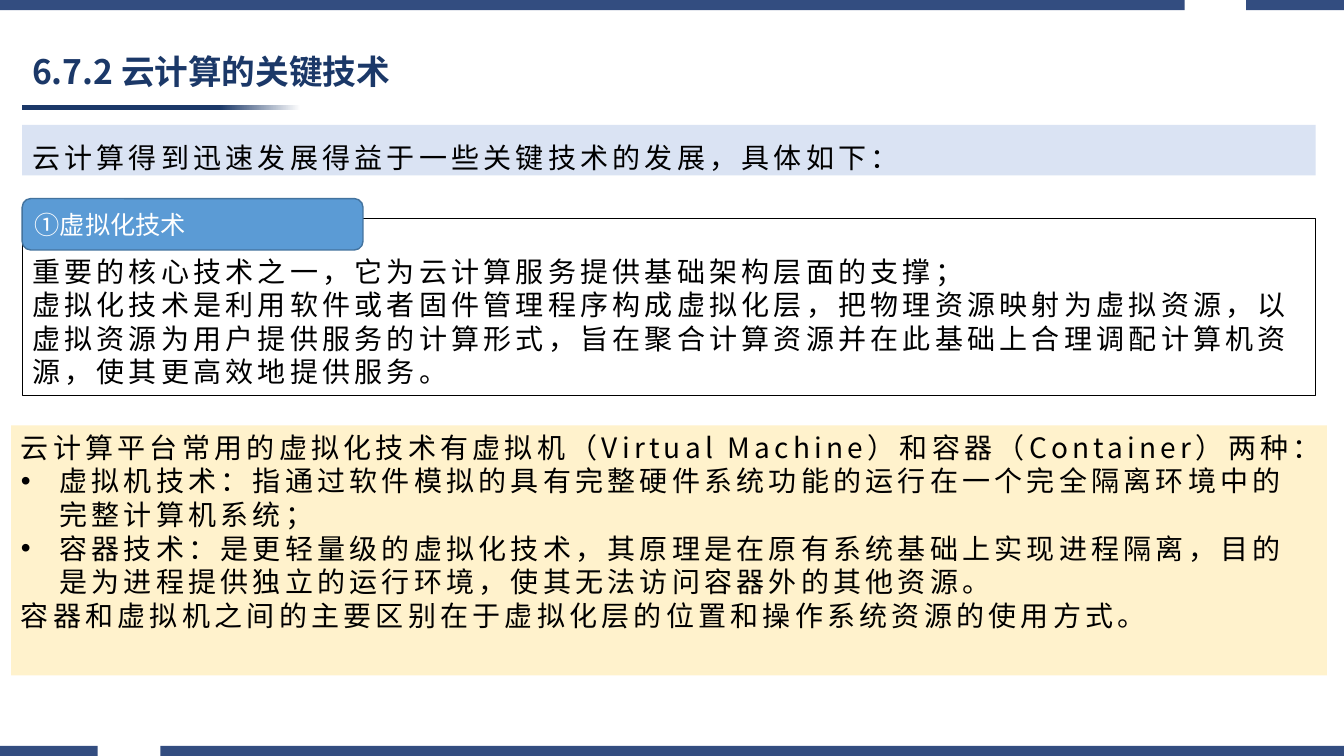
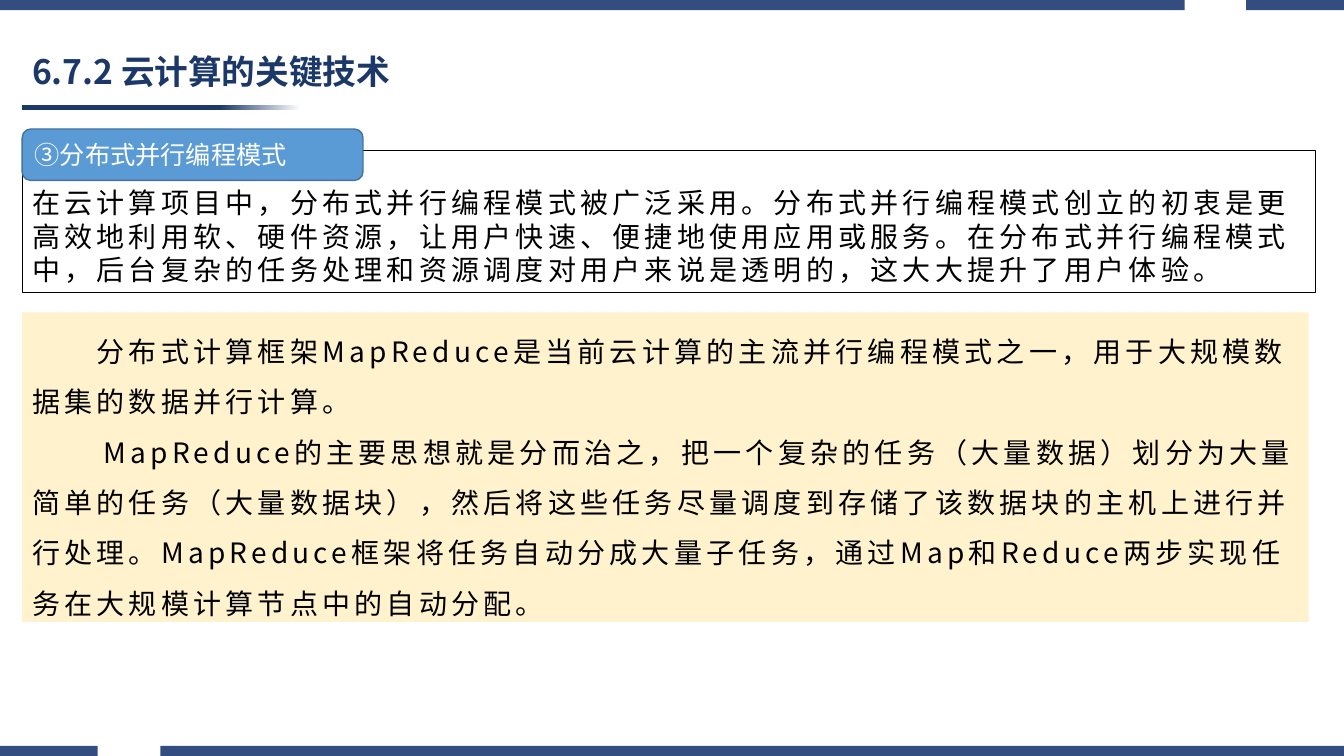
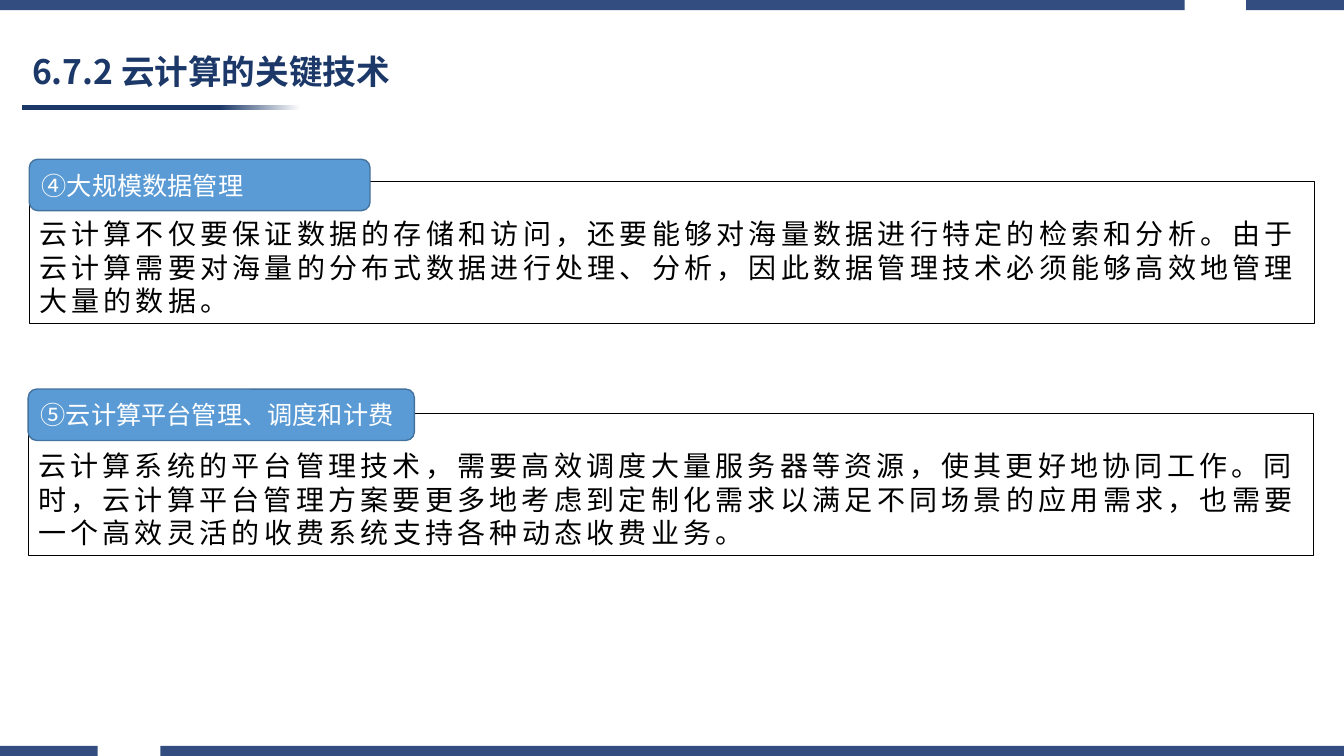
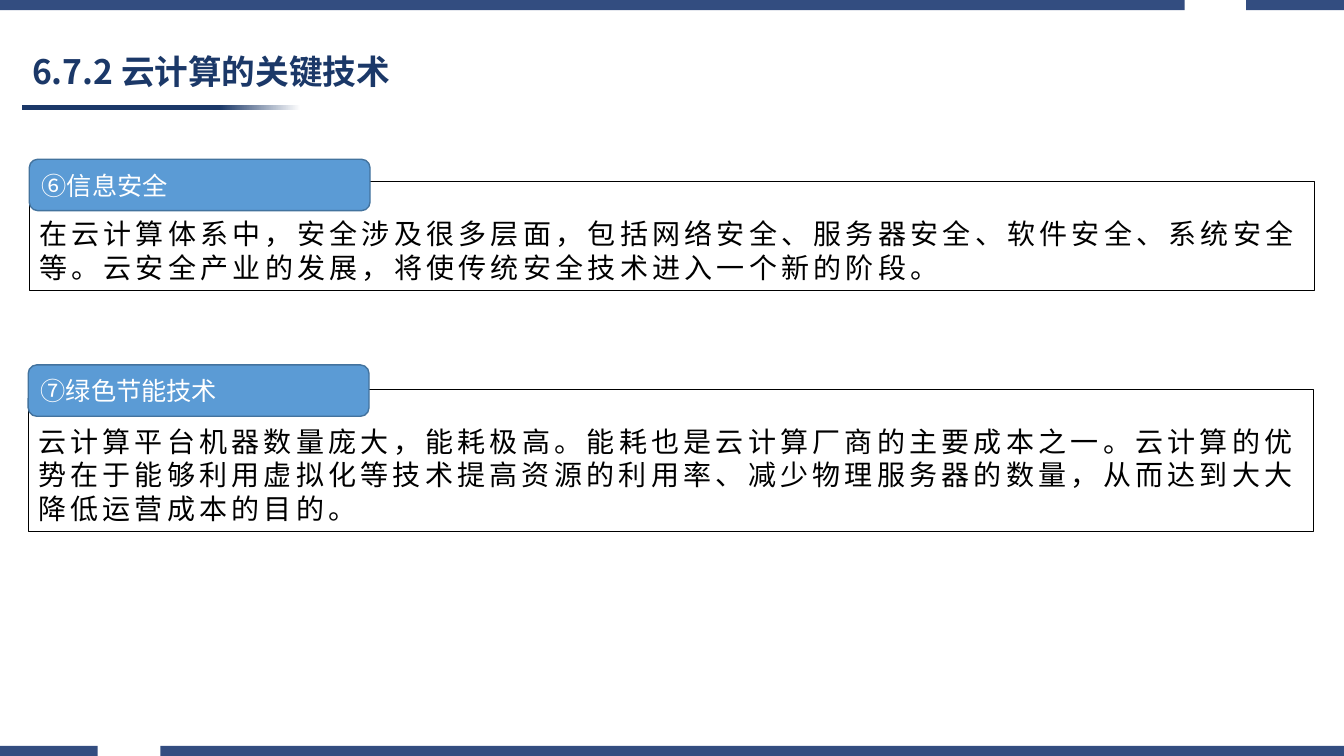
from pptx import Presentation
from pptx.dml.color import RGBColor
from pptx.enum import shapes, text
from pptx.oxml.ns import qn
from pptx.util import Inches, Pt
from lxml import etree

FONT = "Noto Sans CJK SC"
NAVY, BAND, BLACK, WHITE = "1B3868", "334D80", "000000", "FFFFFF"
TAB_FILL, TAB_LINE = "5B9BD5", "43739E"
PALE_BLUE, PALE_YELLOW = "DAE3F3", "FFF2CC"
SLIDE_W, SLIDE_H, BAND_H = 13.33, 7.5, 0.1
TITLE = "6.7.2 云计算的关键技术"
RECT = shapes.MSO_SHAPE.RECTANGLE
ROUNDED = shapes.MSO_SHAPE.ROUNDED_RECTANGLE


def rgb(value):
    return RGBColor.from_string(value)


def add_box(s, x, y, w, h, fill=None, line=None, line_w=0.75, kind=RECT):
    sp = s.shapes.add_shape(kind, Inches(x), Inches(y), Inches(w), Inches(h))
    sp.shadow.inherit = False
    if fill:
        sp.fill.solid()
        sp.fill.fore_color.rgb = rgb(fill)
    else:
        sp.fill.background()
    if line:
        sp.line.color.rgb = rgb(line)
        sp.line.width = Pt(line_w)
    else:
        sp.line.fill.background()
    return sp


def write(sp, paras, size=20, color=BLACK, bold=False, spacing=3, line=None,
          indents=(), bullets=(), middle=False, top=0.05):
    """Fill a shape; indents holds one first-line indent per paragraph,
    bullets the indexes of the bulleted paragraphs."""
    tf = sp.text_frame
    tf.word_wrap = True
    tf.margin_top = Inches(top)
    tf.vertical_anchor = text.MSO_ANCHOR.MIDDLE if middle else text.MSO_ANCHOR.TOP
    for i, content in enumerate(paras):
        p = tf.paragraphs[0] if i == 0 else tf.add_paragraph()
        p.alignment = text.PP_ALIGN.LEFT
        if line:
            p.line_spacing = line
        pPr = p._p.get_or_add_pPr()
        if indents:
            pPr.set("indent", str(Inches(indents[i])))
        if i in bullets:
            pPr.set("marL", str(Inches(0.38)))
            pPr.set("indent", str(-Inches(0.38)))
            etree.SubElement(pPr, qn("a:buFont"), typeface="Arial")
            etree.SubElement(pPr, qn("a:buChar"), char="•")
        r = p.add_run()
        r.text = content
        r.font.size = Pt(size)
        r.font.bold = bold
        r.font.color.rgb = rgb(color)
        r.font.name = FONT
        rPr = r._r.get_or_add_rPr()
        etree.SubElement(rPr, qn("a:ea"), typeface=FONT)
        if spacing:
            rPr.set("spc", str(spacing * 100))


def add_bands(s):
    """Top and bottom bands, each broken by a gap."""
    for y, gap_start, gap_end in ((0, 11.75, 12.36), (SLIDE_H - BAND_H, 0.97, 1.59)):
        add_box(s, 0, y, gap_start, BAND_H, BAND)
        add_box(s, gap_end, y, SLIDE_W - gap_end, BAND_H, BAND)


def add_title(s, x=0.22, y=0.45):
    sp = s.shapes.add_textbox(Inches(x), Inches(y), Inches(4.97), Inches(0.56))
    write(sp, [TITLE], size=24, color=NAVY, bold=True, spacing=0, line=0.9, middle=True)
    rule = add_box(s, x, y + 0.59, 2.76, 0.05, NAVY)
    rule.fill.gradient()
    rule.fill.gradient_angle = 0
    for stop, color, position in zip(rule.fill.gradient_stops, (NAVY, WHITE), (0.71, 1)):
        stop.color.rgb = rgb(color)
        stop.position = position


def add_card(s, x, y, w, h, label, paras, rise=0.22, tab_w=3.38):
    """Outlined text box with a label tab that rises above its top edge."""
    write(add_box(s, x, y, w, h, line=BLACK), paras, top=0.35)
    tab = add_box(s, x, y - rise, tab_w, 0.51, TAB_FILL, TAB_LINE, 1, ROUNDED)
    write(tab, [label], size=18, color=WHITE, spacing=0, middle=True)


def add_panel(s, x, y, w, h, fill, paras, **fmt):
    write(add_box(s, x, y, w, h, fill), paras, **fmt)


def new_slide(prs):
    s = prs.slides.add_slide(prs.slide_layouts[6])
    add_bands(s)
    add_title(s)
    return s


def virtualization_slide(prs):
    s = new_slide(prs)
    add_panel(s, 0.22, 1.24, 12.83, 0.5, PALE_BLUE,
              ["云计算得到迅速发展得益于一些关键技术的发展，具体如下："], line=1.3)
    add_card(s, 0.22, 2.17, 12.83, 1.75, "①虚拟化技术", [
        "重要的核心技术之一，它为云计算服务提供基础架构层面的支撑；",
        "虚拟化技术是利用软件或者固件管理程序构成虚拟化层，把物理资源映射为虚拟资源，"
        "以虚拟资源为用户提供服务的计算形式，旨在聚合计算资源并在此基础上合理调配计算机资源，"
        "使其更高效地提供服务。"], rise=0.2)
    add_panel(s, 0.11, 4.22, 13.05, 2.48, PALE_YELLOW, [
        "云计算平台常用的虚拟化技术有虚拟机（Virtual Machine）和容器（Container）两种：",
        "虚拟机技术：指通过软件模拟的具有完整硬件系统功能的运行在一个完全隔离环境中的完整计算机系统；",
        "容器技术：是更轻量级的虚拟化技术，其原理是在原有系统基础上实现进程隔离，"
        "目的是为进程提供独立的运行环境，使其无法访问容器外的其他资源。",
        "容器和虚拟机之间的主要区别在于虚拟化层的位置和操作系统资源的使用方式。"],
        bullets=(1, 2))


def parallel_slide(prs):
    s = new_slide(prs)
    add_card(s, 0.22, 1.49, 12.83, 1.41, "③分布式并行编程模式", [
        "在云计算项目中，分布式并行编程模式被广泛采用。分布式并行编程模式创立的初衷是"
        "更高效地利用软、硬件资源，让用户快速、便捷地使用应用或服务。在分布式并行编程模式中，"
        "后台复杂的任务处理和资源调度对用户来说是透明的，这大大提升了用户体验。"], rise=0.21)
    add_panel(s, 0.22, 3.1, 12.76, 3.07, PALE_YELLOW, [
        "分布式计算框架MapReduce是当前云计算的主流并行编程模式之一，用于大规模数据集的数据并行计算。",
        "MapReduce的主要思想就是分而治之，把一个复杂的任务（大量数据）划分为大量简单的任务"
        "（大量数据块），然后将这些任务尽量调度到存储了该数据块的主机上进行并行处理。"
        "MapReduce框架将任务自动分成大量子任务，通过Map和Reduce两步实现任务在大规模计算节点中的自动分配。"],
        line=1.5, indents=(0.64, 0.71))


def management_slide(prs):
    s = new_slide(prs)
    add_card(s, 0.29, 1.8, 12.75, 1.41, "④大规模数据管理", [
        "云计算不仅要保证数据的存储和访问，还要能够对海量数据进行特定的检索和分析。"
        "由于云计算需要对海量的分布式数据进行处理、分析，因此数据管理技术必须能够高效地管理大量的数据。"])
    add_card(s, 0.28, 4.1, 12.75, 1.41, "⑤云计算平台管理、调度和计费", [
        "云计算系统的平台管理技术，需要高效调度大量服务器等资源，使其更好地协同工作。"
        "同时，云计算平台管理方案要更多地考虑到定制化需求以满足不同场景的应用需求，"
        "也需要一个高效灵活的收费系统支持各种动态收费业务。"], rise=0.24, tab_w=3.83)


def security_slide(prs):
    s = new_slide(prs)
    add_card(s, 0.29, 1.8, 12.75, 1.08, "⑥信息安全", [
        "在云计算体系中，安全涉及很多层面，包括网络安全、服务器安全、软件安全、系统安全等。"
        "云安全产业的发展，将使传统安全技术进入一个新的阶段。"])
    add_card(s, 0.28, 3.86, 12.75, 1.41, "⑦绿色节能技术", [
        "云计算平台机器数量庞大，能耗极高。能耗也是云计算厂商的主要成本之一。"
        "云计算的优势在于能够利用虚拟化等技术提高资源的利用率、减少物理服务器的数量，"
        "从而达到大大降低运营成本的目的。"], rise=0.24)


def main():
    prs = Presentation()
    prs.slide_width, prs.slide_height = Inches(SLIDE_W), Inches(SLIDE_H)
    for build in (virtualization_slide, parallel_slide, management_slide, security_slide):
        build(prs)
    prs.save("out.pptx")


if __name__ == "__main__":
    main()
